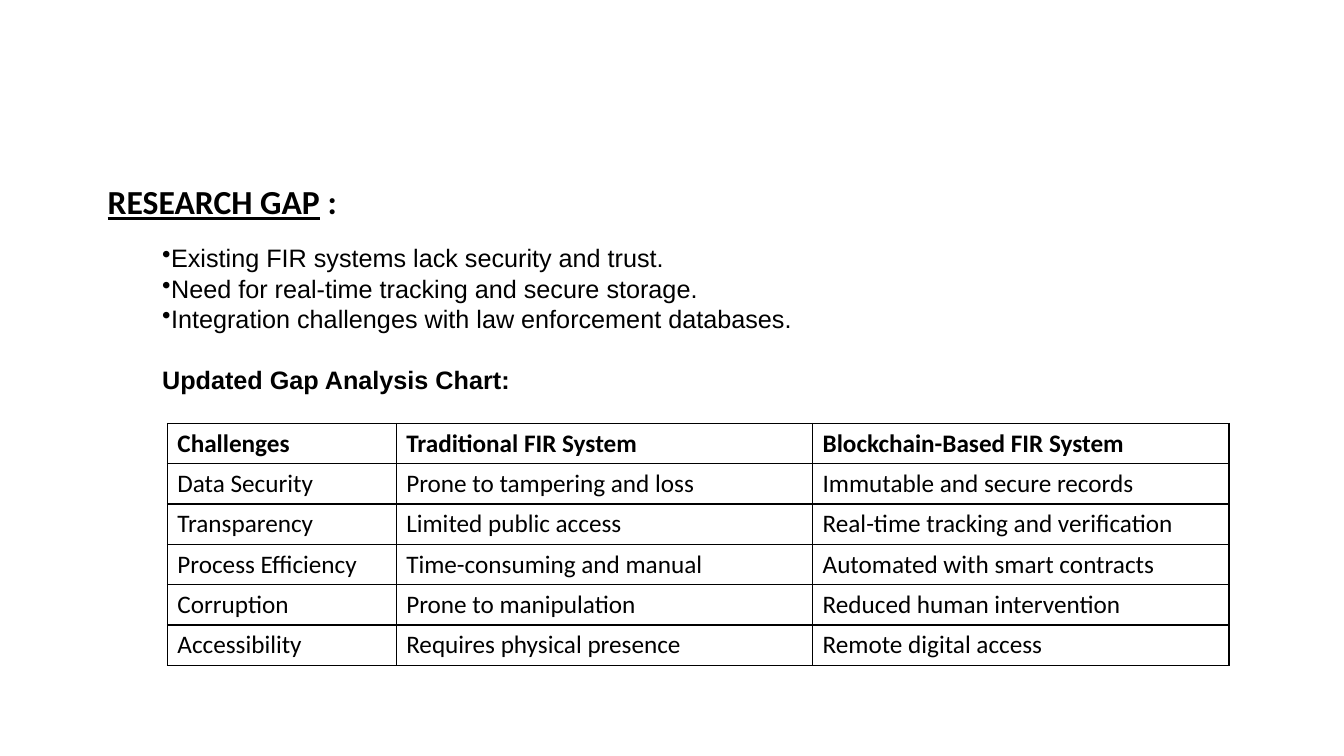
from dataclasses import dataclass

from lxml import etree
from pptx import Presentation
from pptx import util as u
from pptx.dml.color import RGBColor
from pptx.enum import text
from pptx.oxml import ns


@dataclass(frozen=True)
class Theme:
    ink: RGBColor = RGBColor(0, 0, 0)
    heading_size: u.Pt = u.Pt(24)
    body_size: u.Pt = u.Pt(18)
    heading_font: str = "Calibri"
    body_font: str = "Arial"


theme = Theme()


def style(font, name, size, bold=False):
    font.name = name
    font.size = size
    font.bold = bold
    font.color.rgb = theme.ink


def add_borders(cell):
    properties = cell._tc.get_or_add_tcPr()
    for position, side in enumerate(("lnL", "lnR", "lnT", "lnB")):
        line = etree.Element(ns.qn(f"a:{side}"), w=str(u.Pt(1)))
        fill = etree.SubElement(line, ns.qn("a:solidFill"))
        etree.SubElement(fill, ns.qn("a:srgbClr"), val=str(theme.ink))
        properties.insert(position, line)


presentation = Presentation()
presentation.slide_width = u.Inches(13.33)
presentation.slide_height = u.Inches(7.5)
slide = presentation.slides.add_slide(presentation.slide_layouts[6])

heading = slide.shapes.add_textbox(
    u.Inches(0.97), u.Inches(1.75), u.Inches(2.49), u.Inches(0.5)
)
heading.text_frame.word_wrap = False
paragraph = heading.text_frame.paragraphs[0]
style(paragraph.font, theme.heading_font, theme.heading_size, bold=True)
title = paragraph.add_run()
title.text = "RESEARCH GAP"
title.font.underline = True
paragraph.add_run().text = " :"

gaps = slide.shapes.add_textbox(
    u.Inches(1.51), u.Inches(2.05), u.Inches(9.75), u.Inches(2.22)
)
frame = gaps.text_frame
frame.word_wrap = True
frame.vertical_anchor = text.MSO_ANCHOR.MIDDLE
findings = [
    "Existing FIR systems lack security and trust.",
    "Need for real-time tracking and secure storage.",
    "Integration challenges with law enforcement databases.",
]
for index, finding in enumerate(findings):
    paragraph = frame.paragraphs[0] if index == 0 else frame.add_paragraph()
    paragraph.text = finding
    paragraph.line_spacing = u.Pt(21.7)
    style(paragraph.font, theme.body_font, theme.body_size)
    bullet = etree.Element(ns.qn("a:buChar"), char="•")
    paragraph._p.get_or_add_pPr().insert_element_before(bullet, "a:defRPr")

caption = frame.add_paragraph()
caption.text = "Updated Gap Analysis Chart:"
caption.line_spacing = u.Pt(21.7)
caption.space_before = u.Pt(21.7)
style(caption.font, theme.body_font, theme.body_size, bold=True)

rows = [
    ("Challenges", "Traditional FIR System", "Blockchain-Based FIR System"),
    ("Data Security", "Prone to tampering and loss", "Immutable and secure records"),
    ("Transparency", "Limited public access", "Real-time tracking and verification"),
    ("Process Efficiency", "Time-consuming and manual", "Automated with smart contracts"),
    ("Corruption", "Prone to manipulation", "Reduced human intervention"),
    ("Accessibility", "Requires physical presence", "Remote digital access"),
]
column_widths = (2.27, 4.13, 4.13)
table = slide.shapes.add_table(
    len(rows), len(column_widths),
    u.Inches(1.66), u.Inches(4.2), u.Inches(sum(column_widths)), u.Inches(2.4),
).table
table.horz_banding = False
for column, width in zip(table.columns, column_widths):
    column.width = u.Inches(width)
for row_index, row in enumerate(rows):
    for column_index, label in enumerate(row):
        cell = table.cell(row_index, column_index)
        cell.text = label
        cell.fill.background()
        cell.vertical_anchor = text.MSO_ANCHOR.MIDDLE
        cell.margin_top = cell.margin_bottom = u.Inches(0.04)
        style(
            cell.text_frame.paragraphs[0].font,
            theme.heading_font, theme.body_size, bold=row_index == 0,
        )
        add_borders(cell)

presentation.save("out.pptx")
